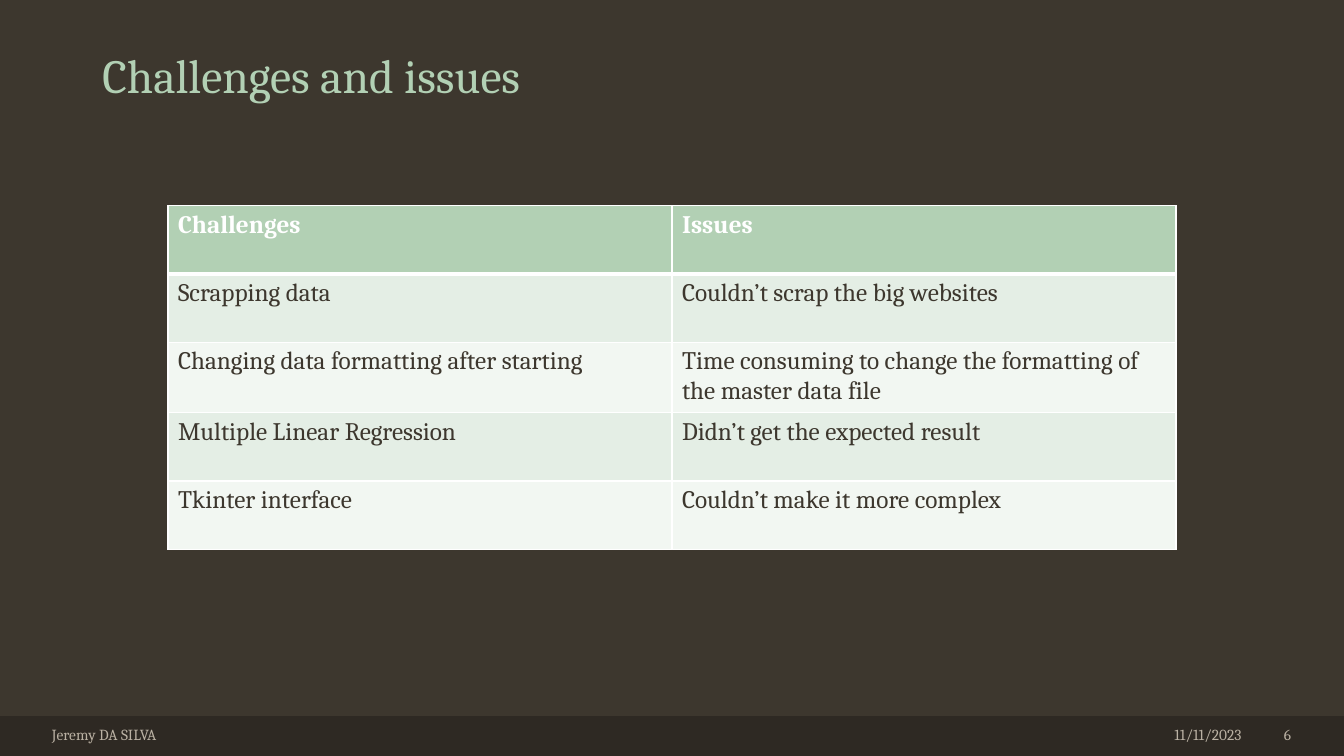
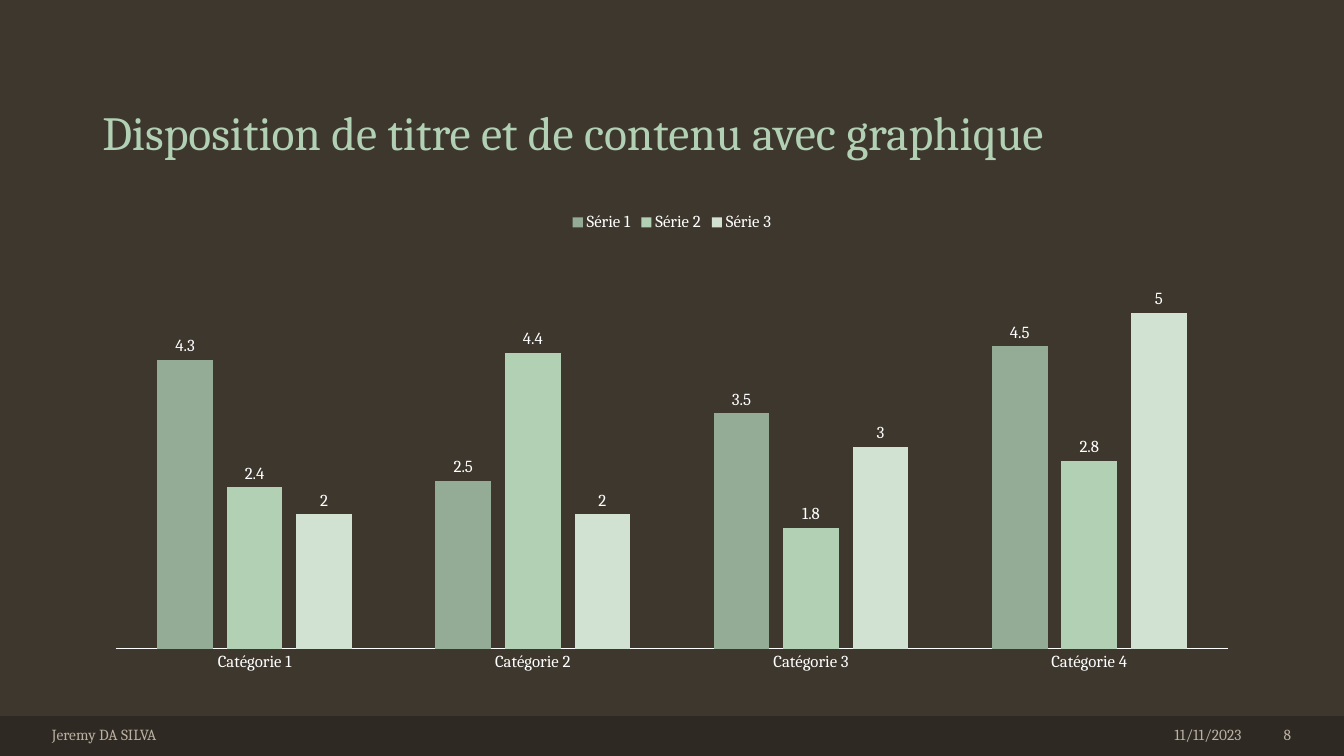
from dataclasses import dataclass

from lxml.etree import SubElement
from pptx import Presentation
from pptx.chart.data import CategoryChartData
from pptx.dml.color import RGBColor
from pptx.enum.chart import XL_CHART_TYPE, XL_LABEL_POSITION, XL_LEGEND_POSITION, XL_TICK_MARK
from pptx.enum.shapes import MSO_SHAPE
from pptx.enum.text import MSO_ANCHOR, PP_ALIGN
from pptx.oxml.ns import qn
from pptx.presentation import Presentation as Deck
from pptx.slide import Slide
from pptx.table import _Cell as Cell
from pptx.text.text import Font
from pptx.util import Emu, Pt

EMU_PER_PX = 9525
PAGE_WIDTH, PAGE_HEIGHT = 1280, 720
FONT_NAME = "Cambria"

BACKGROUND = RGBColor(0x3D, 0x37, 0x2E)
BAND = RGBColor(0x2E, 0x29, 0x23)
GREEN = RGBColor(0xB2, 0xD0, 0xB4)
DARK_GREEN = RGBColor(0x94, 0xAC, 0x95)
LIGHT_GREEN = RGBColor(0xD1, 0xE2, 0xD2)
ODD_ROW = RGBColor(0xE4, 0xEE, 0xE5)
EVEN_ROW = RGBColor(0xF2, 0xF7, 0xF2)
FOOTER_TEXT = RGBColor(0xBA, 0xB1, 0xA3)
WHITE = RGBColor(0xFF, 0xFF, 0xFF)


@dataclass(frozen=True)
class Area:
    left: int
    top: int
    width: int
    height: int

    def emu(self) -> tuple[Emu, Emu, Emu, Emu]:
        return px(self.left), px(self.top), px(self.width), px(self.height)


@dataclass(frozen=True)
class TextStyle:
    size: int
    color: RGBColor
    bold: bool = False
    align: PP_ALIGN = PP_ALIGN.LEFT
    anchor: MSO_ANCHOR = MSO_ANCHOR.MIDDLE
    line_spacing: float = 1.0


@dataclass(frozen=True)
class Series:
    name: str
    values: tuple[float, ...]
    color: RGBColor


TITLE_STYLE = TextStyle(34, GREEN, anchor=MSO_ANCHOR.BOTTOM, line_spacing=0.9)
FOOTER_LEFT = TextStyle(11, FOOTER_TEXT)
FOOTER_RIGHT = TextStyle(11, FOOTER_TEXT, align=PP_ALIGN.RIGHT)
HEADER_CELL = TextStyle(18, WHITE, bold=True)
BODY_CELL = TextStyle(18, BACKGROUND)
CHART_TEXT = TextStyle(12, WHITE)

BAND_AREA = Area(0, 682, PAGE_WIDTH, 38)
AUTHOR_AREA = Area(40, 687, 886, 24)
DATE_AREA = Area(1017, 687, 175, 24)
NUMBER_AREA = Area(1192, 687, 47, 24)
TABLE_AREA = Area(160, 196, 960, 325)
CHART_AREA = Area(88, 192, 1104, 457)

CHALLENGES = (
    ("Challenges", "Issues"),
    ("Scrapping data", "Couldn’t scrap the big websites"),
    (
        "Changing data formatting after starting",
        "Time consuming to change the formatting of the master data file",
    ),
    ("Multiple Linear Regression", "Didn’t get the expected result"),
    ("Tkinter interface", "Couldn’t make it more complex"),
)
CATEGORIES = ("Catégorie 1", "Catégorie 2", "Catégorie 3", "Catégorie 4")
SERIES = (
    Series("Série 1", (4.3, 2.5, 3.5, 4.5), DARK_GREEN),
    Series("Série 2", (2.4, 4.4, 1.8, 2.8), GREEN),
    Series("Série 3", (2, 2, 3, 5), LIGHT_GREEN),
)


def px(length: int) -> Emu:
    return Emu(length * EMU_PER_PX)


def style_font(font: Font, style: TextStyle) -> None:
    font.name = FONT_NAME
    font.size = Pt(style.size)
    font.bold = style.bold
    font.color.rgb = style.color


def add_text(page: Slide, area: Area, text: str, style: TextStyle) -> None:
    box = page.shapes.add_textbox(*area.emu())
    frame = box.text_frame
    frame.word_wrap = True
    frame.vertical_anchor = style.anchor
    para = frame.paragraphs[0]
    para.alignment = style.align
    para.line_spacing = style.line_spacing
    span = para.add_run()
    span.text = text
    style_font(span.font, style)


def add_page(deck: Deck, title: str, title_height: int, number: int) -> Slide:
    page = deck.slides.add_slide(deck.slide_layouts[6])
    band = page.shapes.add_shape(MSO_SHAPE.RECTANGLE, *BAND_AREA.emu())
    band.shadow.inherit = False
    band.fill.solid()
    band.fill.fore_color.rgb = BAND
    band.line.fill.background()
    add_text(page, Area(88, 38, 1104, title_height), title, TITLE_STYLE)
    add_text(page, AUTHOR_AREA, "Jeremy DA SILVA", FOOTER_LEFT)
    add_text(page, DATE_AREA, "11/11/2023", FOOTER_RIGHT)
    add_text(page, NUMBER_AREA, str(number), FOOTER_RIGHT)
    return page


def add_borders(cell: Cell, top: int, bottom: int) -> None:
    properties = cell._tc.get_or_add_tcPr()
    for side, points in (("L", 1), ("R", 1), ("T", top), ("B", bottom)):
        line = SubElement(properties, qn(f"a:ln{side}"), w=str(Pt(points)))
        fill = SubElement(line, qn("a:solidFill"))
        SubElement(fill, qn("a:srgbClr"), val=str(WHITE))


def fill_cell(cell: Cell, text: str, row: int) -> None:
    add_borders(cell, top=3 if row == 1 else 1, bottom=3 if row == 0 else 1)
    cell.fill.solid()
    cell.fill.fore_color.rgb = GREEN if row == 0 else (EVEN_ROW, ODD_ROW)[row % 2]
    span = cell.text_frame.paragraphs[0].add_run()
    span.text = text
    style_font(span.font, HEADER_CELL if row == 0 else BODY_CELL)


def add_challenge_table(page: Slide) -> None:
    table = page.shapes.add_table(
        len(CHALLENGES), len(CHALLENGES[0]), *TABLE_AREA.emu()
    ).table
    table.first_row = False
    table.horz_banding = False
    for row, texts in enumerate(CHALLENGES):
        for column, text in enumerate(texts):
            fill_cell(table.cell(row, column), text, row)


def add_column_chart(page: Slide) -> None:
    data = CategoryChartData()
    data.categories = CATEGORIES
    for series in SERIES:
        data.add_series(series.name, series.values)
    chart = page.shapes.add_chart(
        XL_CHART_TYPE.COLUMN_CLUSTERED, *CHART_AREA.emu(), data
    ).chart
    style_font(chart.font, CHART_TEXT)
    chart.has_title = False
    chart.has_legend = True
    chart.legend.position = XL_LEGEND_POSITION.TOP
    chart.legend.include_in_layout = False
    style_font(chart.legend.font, CHART_TEXT)

    chart.value_axis.visible = False
    chart.value_axis.has_major_gridlines = False
    chart.value_axis.minimum_scale = 0
    chart.value_axis.maximum_scale = 6
    axis = chart.category_axis
    axis.major_tick_mark = XL_TICK_MARK.NONE
    axis.format.line.color.rgb = WHITE
    axis.format.line.width = Pt(0.75)
    style_font(axis.tick_labels.font, CHART_TEXT)

    plot = chart.plots[0]
    plot.vary_by_categories = False
    plot.gap_width = 150
    plot.overlap = -25
    for columns, series in zip(plot.series, SERIES):
        columns.format.fill.solid()
        columns.format.fill.fore_color.rgb = series.color
        labels = columns.data_labels
        labels.show_value = True
        labels.position = XL_LABEL_POSITION.OUTSIDE_END
        style_font(labels.font, CHART_TEXT)


def main() -> None:
    deck = Presentation()
    deck.slide_width = px(PAGE_WIDTH)
    deck.slide_height = px(PAGE_HEIGHT)
    backdrop = deck.slide_master.background.fill
    backdrop.solid()
    backdrop.fore_color.rgb = BACKGROUND

    add_challenge_table(add_page(deck, "Challenges and issues", 66, 6))
    add_column_chart(
        add_page(deck, "Disposition de titre et de contenu avec graphique", 120, 8)
    )
    deck.save("out.pptx")


if __name__ == "__main__":
    main()
